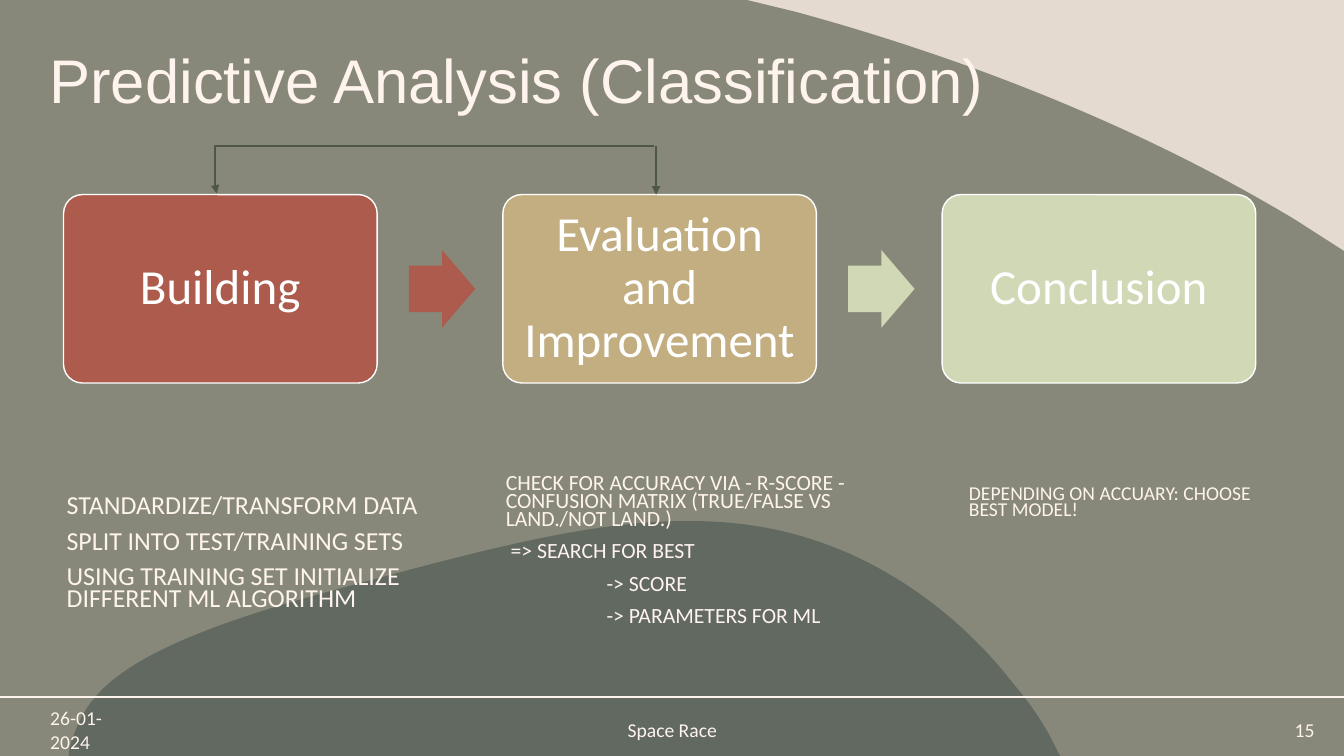
from lxml.etree import SubElement
from pptx import Presentation
from pptx.dml.color import RGBColor
from pptx.enum.shapes import MSO_CONNECTOR, MSO_SHAPE
from pptx.enum.text import MSO_ANCHOR, MSO_AUTO_SIZE, PP_ALIGN
from pptx.oxml.ns import qn
from pptx.util import Pt

SAND = RGBColor(0xE5, 0xDA, 0xCF)
CREAM = RGBColor(0xFE, 0xF3, 0xED)
WHITE = RGBColor(0xFF, 0xFF, 0xFF)
SLATE = RGBColor(0x5D, 0x6A, 0x76)
OLIVE = RGBColor(0x4E, 0x57, 0x45)
BRICK = RGBColor(0xAC, 0x5B, 0x4C)
OCHRE = RGBColor(0xC2, 0xAE, 0x81)
SAGE = RGBColor(0xD0, 0xD8, 0xB6)

HILL = [
    (493.2, 372.2),
    (535.7, 372.2, 575.3, 380.2, 615.6, 399.6),
    (669.6, 426.2, 704.9, 463.7, 723.6, 488.2),
    (733.7, 499.7, 745.9, 516.2, 755.3, 536.4),
    (757.4, 540), (49, 540), (49.7, 534.2),
    (51.1, 529.2, 52.6, 524.9, 54.7, 519.8),
    (67, 489.6, 97.2, 460.1, 231.8, 423.4),
    (340.6, 393.8, 421.9, 371.5, 493.2, 372.2),
]
SHEET = [
    (0, 0), (533.5, 0), (568.8, 8.6),
    (700.6, 44.6, 822.2, 95, 925.2, 157),
    (960, 179.3), (960, 540), (0, 540),
]
STEPS = [("Building", BRICK), ("Evaluation and Improvement", OCHRE), ("Conclusion", SAGE)]
ARROW_COLORS = [BRICK, SAGE]
STEP_LEFT, STEP_TOP, STEP_PITCH = 45.4, 139, 313.8
STEP_WIDTH, STEP_HEIGHT = 224, 134.6

BUILDING_NOTES = [
    ("STANDARDIZE/TRANSFORM DATA", 0),
    ("SPLIT INTO TEST/TRAINING SETS", 0),
    ("USING TRAINING SET INITIALIZE DIFFERENT ML ALGORITHM", 0),
]
EVALUATION_NOTES = [
    ("CHECK FOR ACCURACY VIA - R-SCORE - CONFUSION MATRIX (TRUE/FALSE VS LAND./NOT LAND.)", 0),
    ("=> SEARCH FOR BEST", 3.5),
    ("-> SCORE", 72),
    ("-> PARAMETERS FOR ML", 72),
]
CONCLUSION_NOTES = [("DEPENDING ON ACCUARY: CHOOSE BEST MODEL!", 0)]


def write_text(shape, lines, size, color=CREAM, font="Calibri", align=PP_ALIGN.LEFT,
               line_spacing=1.0, space_before=0, inset_x=7.2, inset_y=3.6):
    frame = shape.text_frame
    frame.word_wrap = True
    frame.auto_size = MSO_AUTO_SIZE.NONE
    frame.vertical_anchor = MSO_ANCHOR.MIDDLE
    frame.margin_left = frame.margin_right = Pt(inset_x)
    frame.margin_top = frame.margin_bottom = Pt(inset_y)
    for index, (text, indent) in enumerate(lines):
        paragraph = frame.add_paragraph() if index else frame.paragraphs[0]
        paragraph.alignment = align
        paragraph.line_spacing = line_spacing
        paragraph.space_before = Pt(space_before if index else 0)
        if indent:
            paragraph._p.get_or_add_pPr().set("marL", str(int(Pt(indent))))
        run = paragraph.add_run()
        run.text = text
        run.font.name = font
        run.font.size = Pt(size)
        run.font.color.rgb = color


def add_text(slide, left, top, width, height, lines, size, **text_format):
    box = slide.shapes.add_textbox(Pt(left), Pt(top), Pt(width), Pt(height))
    write_text(box, lines, size, **text_format)


def bend_sides(shape, segments):
    sides = list(shape.element.spPr.iter(qn("a:lnTo")))
    for side, segment in zip(sides, segments[1:]):
        if len(segment) == 6:
            side.tag = qn("a:cubicBezTo")
            end = side[0]
            for x, y in (segment[:2], segment[2:4]):
                control = SubElement(side, qn("a:pt"))
                control.set("x", str(Pt(x) - shape.left))
                control.set("y", str(Pt(y) - shape.top))
            side.append(end)


def add_backdrop(slide, segments, color, opacity):
    points = [(Pt(segment[-2]), Pt(segment[-1])) for segment in segments]
    builder = slide.shapes.build_freeform(*points[0], scale=1.0)
    builder.add_line_segments(points[1:], close=True)
    shape = builder.convert_to_shape()
    bend_sides(shape, segments)
    shape.shadow.inherit = False
    shape.fill.solid()
    shape.fill.fore_color.rgb = color
    shape.line.fill.background()
    color_element = shape.element.spPr.find(qn("a:solidFill"))[0]
    SubElement(color_element, qn("a:alpha")).set("val", str(opacity * 1000))


def add_block(slide, kind, left, top, width, height, color, adjustments, outlined=False):
    shape = slide.shapes.add_shape(kind, Pt(left), Pt(top), Pt(width), Pt(height))
    shape.shadow.inherit = False
    for index, value in enumerate(adjustments):
        shape.adjustments[index] = value
    shape.fill.solid()
    shape.fill.fore_color.rgb = color
    if outlined:
        shape.line.color.rgb = WHITE
        shape.line.width = Pt(1)
    else:
        shape.line.fill.background()
    return shape


def add_line(slide, kind, start, end, color, width, arrow=False):
    connector = slide.shapes.add_connector(kind, *(Pt(value) for value in start + end))
    connector.line.color.rgb = color
    connector.line.width = Pt(width)
    if arrow:
        SubElement(connector.line._get_or_add_ln(), qn("a:tailEnd")).set("type", "triangle")
    SubElement(connector.element.spPr, qn("a:effectLst"))
    return connector


def add_steps(slide):
    for index, (name, color) in enumerate(STEPS):
        left = STEP_LEFT + index * STEP_PITCH
        step = add_block(slide, MSO_SHAPE.ROUNDED_RECTANGLE, left, STEP_TOP,
                         STEP_WIDTH, STEP_HEIGHT, color, [0.1], outlined=True)
        write_text(step, [(name, 0)], 35, color=WHITE, align=PP_ALIGN.CENTER,
                   line_spacing=0.9, inset_x=8, inset_y=3.6)
        if index < len(ARROW_COLORS):
            add_block(slide, MSO_SHAPE.RIGHT_ARROW, left + 246.6, 178.6, 47.5, 55.5,
                      ARROW_COLORS[index], [0.6, 0.5])


def add_feedback_loop(slide):
    add_line(slide, MSO_CONNECTOR.STRAIGHT, (468.7, 104.4), (468.7, 139), OLIVE, 1.5, arrow=True)
    loop = add_line(slide, MSO_CONNECTOR.ELBOW, (467.3, 104.4), (154.8, 138.2), OLIVE, 1.5, arrow=True)
    guides = loop.element.spPr.find(qn("a:prstGeom")).find(qn("a:avLst"))
    guide = SubElement(guides, qn("a:gd"))
    guide.set("name", "adj1")
    guide.set("fmla", "val 100300")


def add_title(slide, text):
    title = slide.shapes.title
    title.left, title.top, title.width, title.height = Pt(28.1), Pt(33), Pt(815), Pt(53.3)
    write_text(title, [(text, 0)], 44, font="Arial", line_spacing=0.9)
    slide.shapes._spTree.append(title.element)


def main():
    presentation = Presentation()
    presentation.slide_width, presentation.slide_height = Pt(960), Pt(540)
    slide = presentation.slides.add_slide(presentation.slide_layouts[5])
    slide.background.fill.solid()
    slide.background.fill.fore_color.rgb = SAND

    add_backdrop(slide, HILL, SLATE, 73)
    add_backdrop(slide, SHEET, OLIVE, 62)
    add_line(slide, MSO_CONNECTOR.STRAIGHT, (0, 498), (960, 498), CREAM, 1.25)
    add_title(slide, "Predictive Analysis (Classification)")
    add_steps(slide)
    add_feedback_loop(slide)

    notes_format = {"line_spacing": 0.7, "space_before": 10}
    add_text(slide, 40.5, 319.7, 278, 152.6, BUILDING_NOTES, 18.5, **notes_format)
    add_text(slide, 354.2, 325.4, 278, 136.8, EVALUATION_NOTES, 15.5, **notes_format)
    add_text(slide, 685, 344, 231.8, 31.7, CONCLUSION_NOTES, 14, **notes_format)

    add_text(slide, 28.8, 509, 79.2, 24.5, [("26-01-2024", 0)], 14)
    add_text(slide, 344.9, 509, 270.7, 24.5, [("Space Race", 0)], 14, align=PP_ALIGN.CENTER)
    add_text(slide, 868.3, 509, 77.8, 24.5, [("15", 0)], 14, align=PP_ALIGN.RIGHT)
    presentation.save("out.pptx")


if __name__ == "__main__":
    main()
